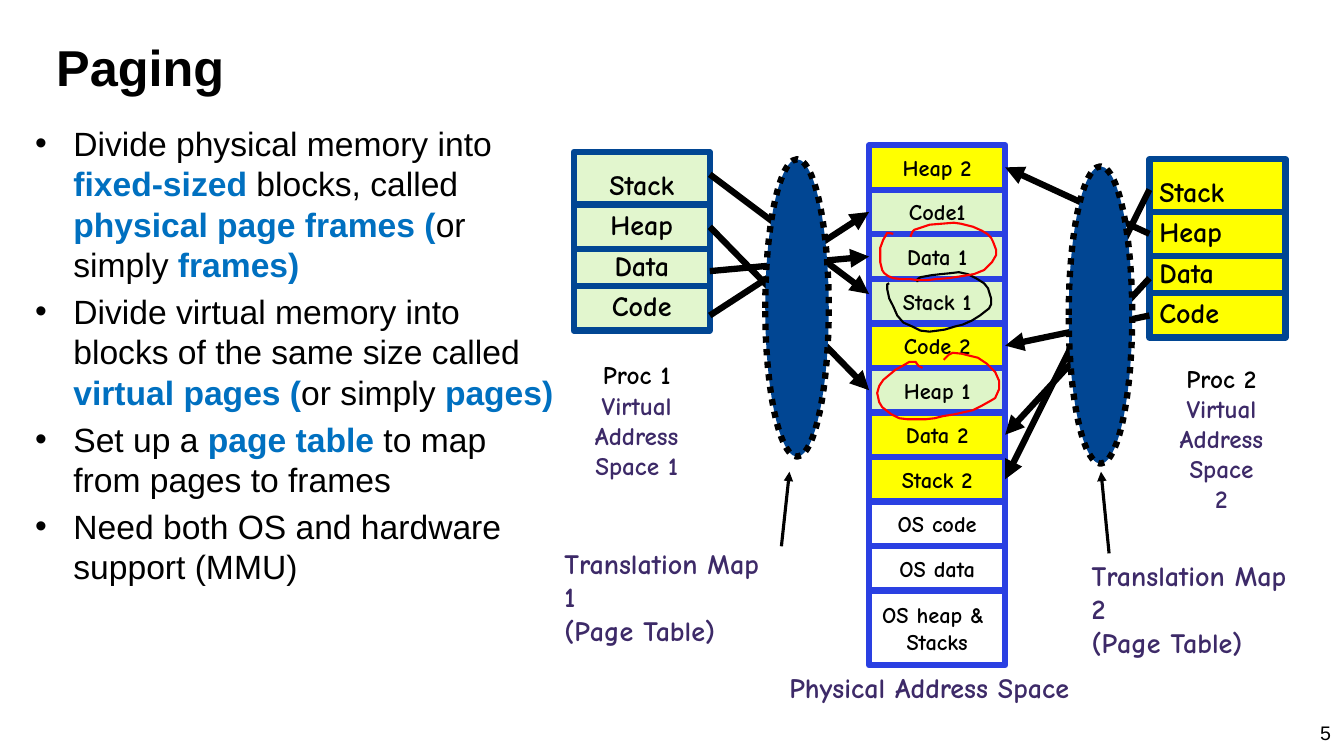
from lxml.etree import SubElement
from pptx import Presentation
from pptx.dml.color import RGBColor
from pptx.enum.dml import MSO_LINE
from pptx.enum.shapes import MSO_CONNECTOR, MSO_SHAPE
from pptx.enum.text import MSO_ANCHOR, PP_ALIGN
from pptx.oxml.ns import qn
from pptx.util import Inches, Pt

# Content
BLACK, WHITE, NAVY, FRAME_BLUE = "000000", "FFFFFF", "014693", "2A40E2"
PURPLE, ACCENT, YELLOW, GREEN, MINT, RED = (
    "3D2A68", "0070C0", "FFFF00", "DEF5C8", "E2F6CE", "FF0000")
LEFT, CENTER, RIGHT = PP_ALIGN.LEFT, PP_ALIGN.CENTER, PP_ALIGN.RIGHT

# Every second span is a highlighted term
BULLETS = [
    ["Divide physical memory into ", "fixed-sized", " blocks, called ",
     "physical page frames (", "or simply ", "frames)"],
    ["Divide virtual memory into blocks of the same size called ",
     "virtual pages (", "or simply ", "pages)"],
    ["Set up a ", "page table ", "to map from pages to frames"],
    ["Need both OS and hardware support (MMU)"],
]
PAGES = ["Stack", "Heap", "Data", "Code"]
FRAMES = [
    ("Heap 2", YELLOW), ("Code1", GREEN), ("Data 1", GREEN), ("Stack 1", GREEN),
    ("Code 2", YELLOW), ("Heap 1", GREEN), ("Data 2", YELLOW), ("Stack 2", YELLOW),
    ("OS code", WHITE), ("OS data", WHITE), ("OS heap & \nStacks", WHITE),
]
# Links: start height, frame, offset from the middle of the frame's side
PROCESSES = [
    dict(number=1, left=5.69, top=1.51, fill=MINT, align=CENTER, edge=1,
         map_left=7.59, name_at=(5.78, 3.52, 1.07), label_at=(5.5, 5.37),
         pointer=(7.75, 5.42, 7.83, 4.68),
         links=[(1.73, "Stack 1", -0.07), (2.25, "Heap 1", 0),
                (2.69, "Data 1", 0), (3.13, "Code1", 0)]),
    dict(number=2, left=11.4, top=1.58, fill=YELLOW, align=LEFT, edge=3,
         map_left=10.6, name_at=(11.6, 3.55, 1.03), label_at=(10.73, 5.49),
         pointer=(11, 5.49, 10.92, 4.68),
         links=[(1.88, "Stack 2", 0), (2.32, "Heap 2", 0),
                (2.76, "Data 2", 0), (3.13, "Code 2", 0)]),
]
# Hand-drawn loops around three frames
SKETCHES = [
    (BLACK, [(8.82, 2.81), (8.8, 2.82), (8.8, 2.87), (8.82, 2.96), (8.86, 3.04),
             (8.9, 3.13), (8.96, 3.2), (9.05, 3.24), (9.13, 3.28), (9.22, 3.29),
             (9.3, 3.28), (9.37, 3.27), (9.47, 3.24), (9.55, 3.22), (9.64, 3.18),
             (9.72, 3.13), (9.81, 3.06), (9.83, 3.02), (9.83, 2.96), (9.8, 2.86),
             (9.76, 2.81), (9.68, 2.76), (9.6, 2.72), (9.51, 2.7), (9.43, 2.71),
             (9.33, 2.72), (9.24, 2.73), (9.13, 2.75), (9.1, 2.77), (9.1, 2.8)]),
    (RED, [(9.15, 3.65), (9.11, 3.63), (9.08, 3.59), (9.02, 3.59), (8.97, 3.62),
           (8.88, 3.67), (8.82, 3.72), (8.76, 3.77), (8.72, 3.83), (8.7, 3.9),
           (8.72, 3.99), (8.75, 4.04), (8.84, 4.11), (8.92, 4.15), (9, 4.16),
           (9.18, 4.16), (9.27, 4.15), (9.35, 4.13), (9.47, 4.11), (9.56, 4.09),
           (9.65, 4.07), (9.73, 4.03), (9.82, 3.98), (9.87, 3.95), (9.91, 3.86),
           (9.91, 3.78), (9.87, 3.69), (9.83, 3.65), (9.79, 3.61), (9.7, 3.55),
           (9.62, 3.53), (9.54, 3.51), (9.45, 3.5), (9.41, 3.52), (9.36, 3.57)]),
    (RED, [(8.86, 2.32), (8.8, 2.31), (8.76, 2.38), (8.73, 2.46), (8.73, 2.6),
           (8.75, 2.68), (8.77, 2.71), (8.81, 2.74), (8.86, 2.76), (8.94, 2.77),
           (9.03, 2.77), (9.11, 2.78), (9.19, 2.78), (9.28, 2.77), (9.41, 2.76),
           (9.54, 2.74), (9.66, 2.72), (9.76, 2.68), (9.84, 2.6), (9.88, 2.53),
           (9.88, 2.48), (9.85, 2.4), (9.83, 2.36), (9.79, 2.32), (9.74, 2.29),
           (9.65, 2.25), (9.53, 2.22), (9.46, 2.21), (9.34, 2.22), (9.22, 2.23),
           (9.13, 2.26), (9.07, 2.28), (9.05, 2.3), (9.03, 2.35)]),
]

# Grid, in inches
COLUMN = 1.35
FRAME_LEFT, FRAME_TOP, FRAME_ROW, LAST_ROW = 8.62, 1.44, 0.442, 0.74
PAGE_STACK = 1.77
PAGE_RULES = (0.52, 0.96, 1.33)
MAP_WIDTH, MAP_HEIGHT = 0.63, 2.95

deck = Presentation()
deck.slide_width, deck.slide_height = Inches(13.33), Inches(7.5)
page = deck.slides.add_slide(deck.slide_layouts[6])


def color(value):
    return RGBColor.from_string(value)


def add_span(para, text, size, font="Comic Neue", ink=BLACK, bold=True):
    span = para.add_run()
    span.text = text
    span.font.size, span.font.name, span.font.bold = Pt(size), font, bold
    span.font.color.rgb = color(ink)


def paragraphs(box, count):
    frame = box.text_frame
    frame.word_wrap = True
    return [frame.paragraphs[0]] + [frame.add_paragraph() for _ in range(count - 1)]


def write(box, lines, size, inks=None, align=LEFT, spacing=None, **style):
    for index, para in enumerate(paragraphs(box, len(lines))):
        para.alignment = align
        if spacing:
            para.line_spacing = spacing
        add_span(para, lines[index], size, ink=inks[index] if inks else BLACK, **style)


def text_box(left, top, width, height):
    return page.shapes.add_textbox(*map(Inches, (left, top, width, height)))


def shape(kind, left, top, width, height, fill, line):
    item = page.shapes.add_shape(kind, *map(Inches, (left, top, width, height)))
    item.shadow.inherit = False
    item.fill.solid()
    item.fill.fore_color.rgb = color(fill)
    item.line.color.rgb = color(line)
    item.line.width = Pt(4.5)
    item.text_frame.vertical_anchor = MSO_ANCHOR.MIDDLE
    return item


def connect(x1, y1, x2, y2, ink, width=4.5, arrow=False):
    link = page.shapes.add_connector(MSO_CONNECTOR.STRAIGHT, *map(Inches, (x1, y1, x2, y2)))
    link.line.color.rgb = color(ink)
    link.line.width = Pt(width)
    properties = link.element.spPr
    if arrow:
        SubElement(properties.get_or_add_ln(), qn("a:tailEnd"), type="triangle")
    SubElement(properties, qn("a:effectLst"))
    return link


# Title, bullets and page number
title = text_box(0.46, 0.3, 12.4, 0.71)
title.text_frame.vertical_anchor = MSO_ANCHOR.MIDDLE
write(title, ["Paging"], 36, font="Arial")

body = text_box(0.25, 1.17, 5.36, 5.92)
for index, para in enumerate(paragraphs(body, len(BULLETS))):
    properties = para._p.get_or_add_pPr()
    properties.set("marL", str(Inches(0.38)))
    properties.set("indent", str(Inches(-0.38)))
    SubElement(properties, qn("a:buFont"), typeface="Arial")
    SubElement(properties, qn("a:buChar"), char="•")
    if index:
        para.space_before = Pt(4.8)
    for place, text in enumerate(BULLETS[index]):
        term = place % 2 == 1
        add_span(para, text, 24, "Arial", ACCENT if term else BLACK, term)

write(text_box(12.68, 7.1, 0.62, 0.4), ["5"], 14, align=RIGHT, font="Arial", bold=False)

# Virtual address spaces
for process in PROCESSES:
    left, top, number = process["left"], process["top"], process["number"]
    pages = shape(MSO_SHAPE.RECTANGLE, left, top, COLUMN, PAGE_STACK, process["fill"], NAVY)
    write(pages, PAGES, 20, align=process["align"], spacing=1.2)
    for rule in PAGE_RULES:
        connect(left, top + rule, left + COLUMN, top + rule, NAVY)
    write(text_box(*process["name_at"], 1.31),
          [f"Proc {number}", "Virtual", "Address", f"Space {number}"], 18,
          [BLACK] + [PURPLE] * 3, CENTER)

# Physical address space
frames = {}
for row, (name, fill) in enumerate(FRAMES):
    height = LAST_ROW if row == len(FRAMES) - 1 else FRAME_ROW
    frames[name] = shape(MSO_SHAPE.RECTANGLE, FRAME_LEFT, FRAME_TOP + row * FRAME_ROW,
                         COLUMN, height, fill, FRAME_BLUE)
    write(frames[name], name.split("\n"), 16, align=CENTER)
write(text_box(7.73, 6.6, 3.25, 0.5), ["Physical Address Space"], 20, [PURPLE])

# Page-to-frame arrows, with each translation map over its arrows
for process in PROCESSES:
    from_left = process["edge"] == 1
    start = process["left"] + (COLUMN if from_left else 0)
    end = FRAME_LEFT + (0 if from_left else COLUMN)
    for height, name, offset in process["links"]:
        target = frames[name]
        middle = (target.top + target.height / 2) / Inches(1)
        link = connect(start, height, end, middle + offset, BLACK, arrow=True)
        if not offset:
            link.end_connect(target, process["edge"])
    oval = shape(MSO_SHAPE.OVAL, process["map_left"], process["top"] + 0.07,
                 MAP_WIDTH, MAP_HEIGHT, NAVY, BLACK)
    oval.line.dash_style = MSO_LINE.ROUND_DOT
    write(text_box(*process["label_at"], 2.26, 0.77),
          [f"Translation Map {process['number']}", "(Page Table)"], 20, [PURPLE] * 2)
    connect(*process["pointer"], BLACK, 2.25, arrow=True)

# Hand-drawn loops
for ink, points in SKETCHES:
    outline = [(Inches(x), Inches(y)) for x, y in points]
    builder = page.shapes.build_freeform(*outline[0])
    builder.add_line_segments(outline[1:], close=False)
    loop = builder.convert_to_shape()
    loop.shadow.inherit = False
    loop.fill.background()
    loop.line.color.rgb = color(ink)
    loop.line.width = Pt(1.5)

deck.save("out.pptx")
